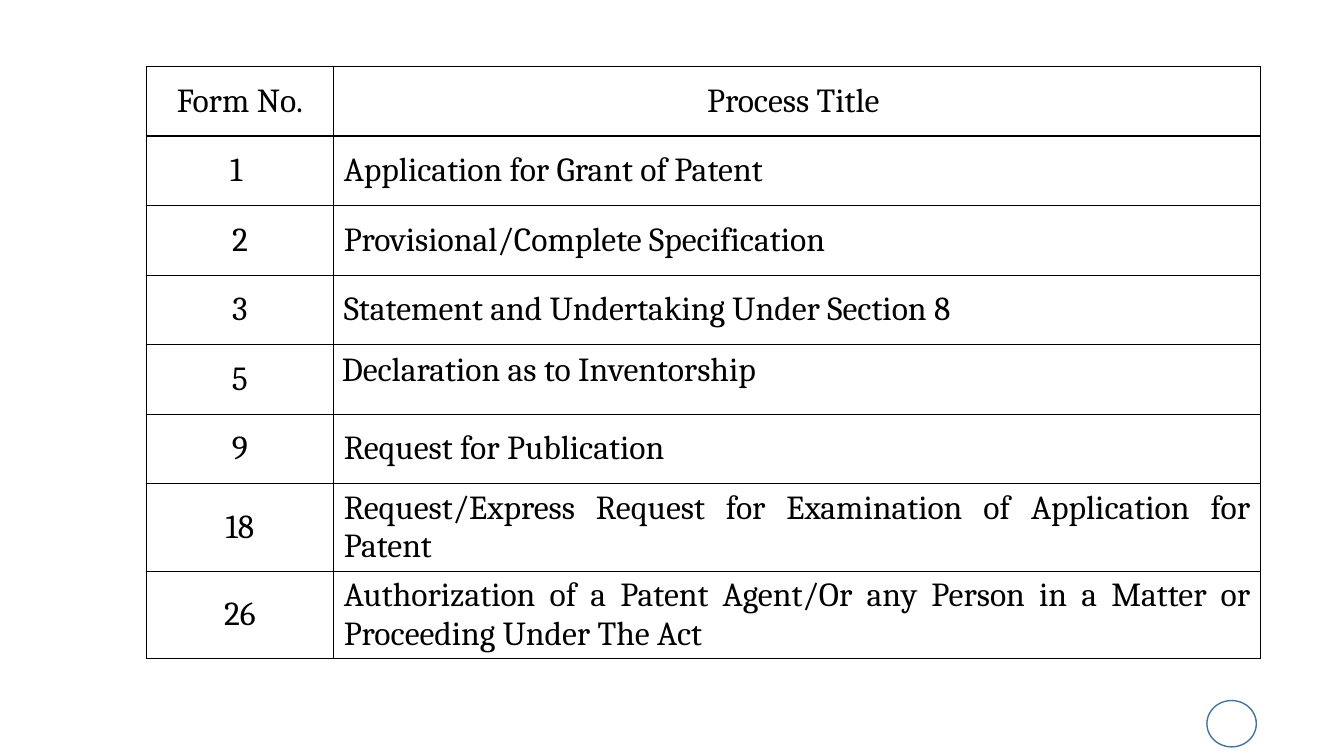
from lxml import etree
from pptx import Presentation
from pptx.dml.color import RGBColor
from pptx.enum.shapes import MSO_SHAPE as SHAPE
from pptx.enum.text import MSO_ANCHOR as ANCHOR, PP_ALIGN as ALIGN
from pptx.oxml import parse_xml
from pptx.oxml.ns import nsdecls
from pptx.util import Inches, Pt

FORMS = [
    ("Form No.", "Process Title "),
    ("1 ", "Application for Grant of Patent"),
    ("2", "Provisional/Complete Specification"),
    ("3", "Statement and Undertaking Under Section 8"),
    ("5", "Declaration as to Inventorship"),
    ("9", "Request for Publication"),
    ("18", "Request/Express Request for Examination of Application for Patent"),
    ("26", "Authorization of a Patent Agent/Or any Person in a Matter or "
           "Proceeding Under The Act"),
]
TOP_ALIGNED_CELL = (4, 1)


def color(value):
    return RGBColor.from_string(value)


class SlideBuilder:
    font = "Cambria"
    size = 24
    ink = "000000"
    accent = "43739E"

    def __init__(self, prs):
        self.slide = prs.slides.add_slide(prs.slide_layouts[6])

    def ring(self, left, top, width, height):
        sp = self.slide.shapes.add_shape(
            SHAPE.OVAL, Inches(left), Inches(top), Inches(width), Inches(height))
        sp.shadow.inherit = False
        sp.fill.background()
        sp.line.color.rgb = color(self.accent)
        sp.line.width = Pt(1)

    def table(self, rows, left, top, widths, row_height):
        frame = self.slide.shapes.add_table(
            len(rows), len(widths), Inches(left), Inches(top),
            Inches(sum(widths)), Inches(row_height * len(rows)))
        table = frame.table
        table.first_row = table.horz_banding = False
        for column, width in zip(table.columns, widths):
            column.width = Inches(width)
        for i, row in enumerate(rows):
            table.rows[i].height = Inches(row_height)
            for j, text in enumerate(row):
                align = ALIGN.CENTER if i == 0 or j == 0 else ALIGN.JUSTIFY
                self.cell(table.cell(i, j), text, align, (i, j) == TOP_ALIGNED_CELL)

    def cell(self, cell, text, align, top_aligned):
        side, edge = (0.08, 0.07) if top_aligned else (0.1, 0.05)
        cell.margin_left = cell.margin_right = Inches(side)
        cell.margin_top = cell.margin_bottom = Inches(edge)
        cell.vertical_anchor = ANCHOR.TOP if top_aligned else ANCHOR.MIDDLE
        cell.fill.background()
        self.borders(cell)
        cell.text_frame.text = text
        p = cell.text_frame.paragraphs[0]
        p.alignment = align
        font = p.runs[0].font
        font.name = self.font
        font.size = Pt(self.size)
        font.color.rgb = color(self.ink)

    def borders(self, cell):
        props = cell._tc.get_or_add_tcPr()
        for i, side in enumerate("LRTB"):
            line = parse_xml(f'<a:ln{side} {nsdecls("a")} w="{Pt(1)}"/>')
            fill = etree.SubElement(line, line.tag.replace(f"ln{side}", "solidFill"))
            etree.SubElement(fill, fill.tag.replace("solidFill", "srgbClr"), val=self.ink)
            props.insert(i, line)


def main():
    prs = Presentation()
    prs.slide_width, prs.slide_height = Inches(13.33), Inches(7.5)
    s = SlideBuilder(prs)
    s.ring(11.97, 6.95, 0.49, 0.46)
    s.table(FORMS, 1.45, 0.66, (1.86, 9.19), 0.69)
    prs.save("out.pptx")


if __name__ == "__main__":
    main()
